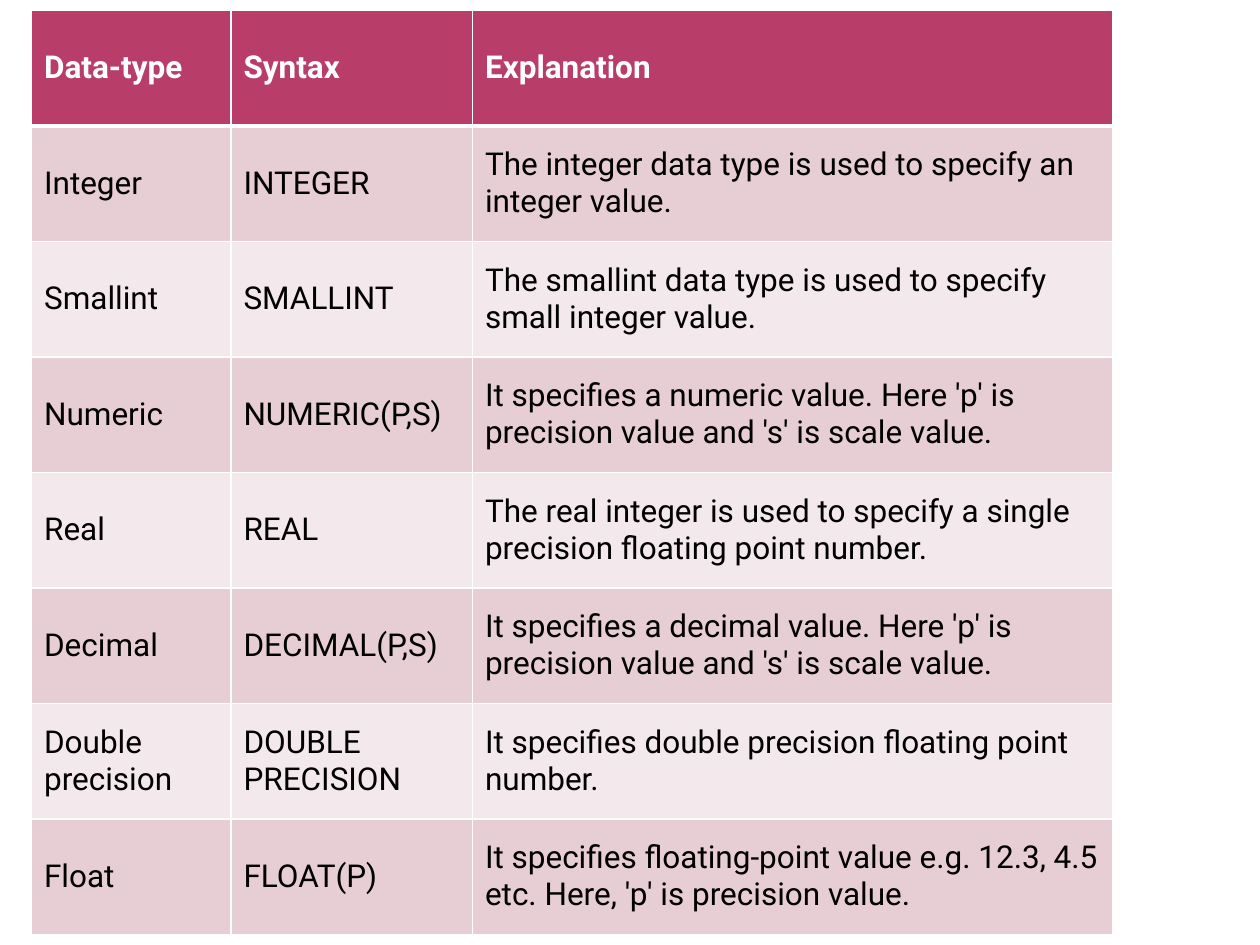
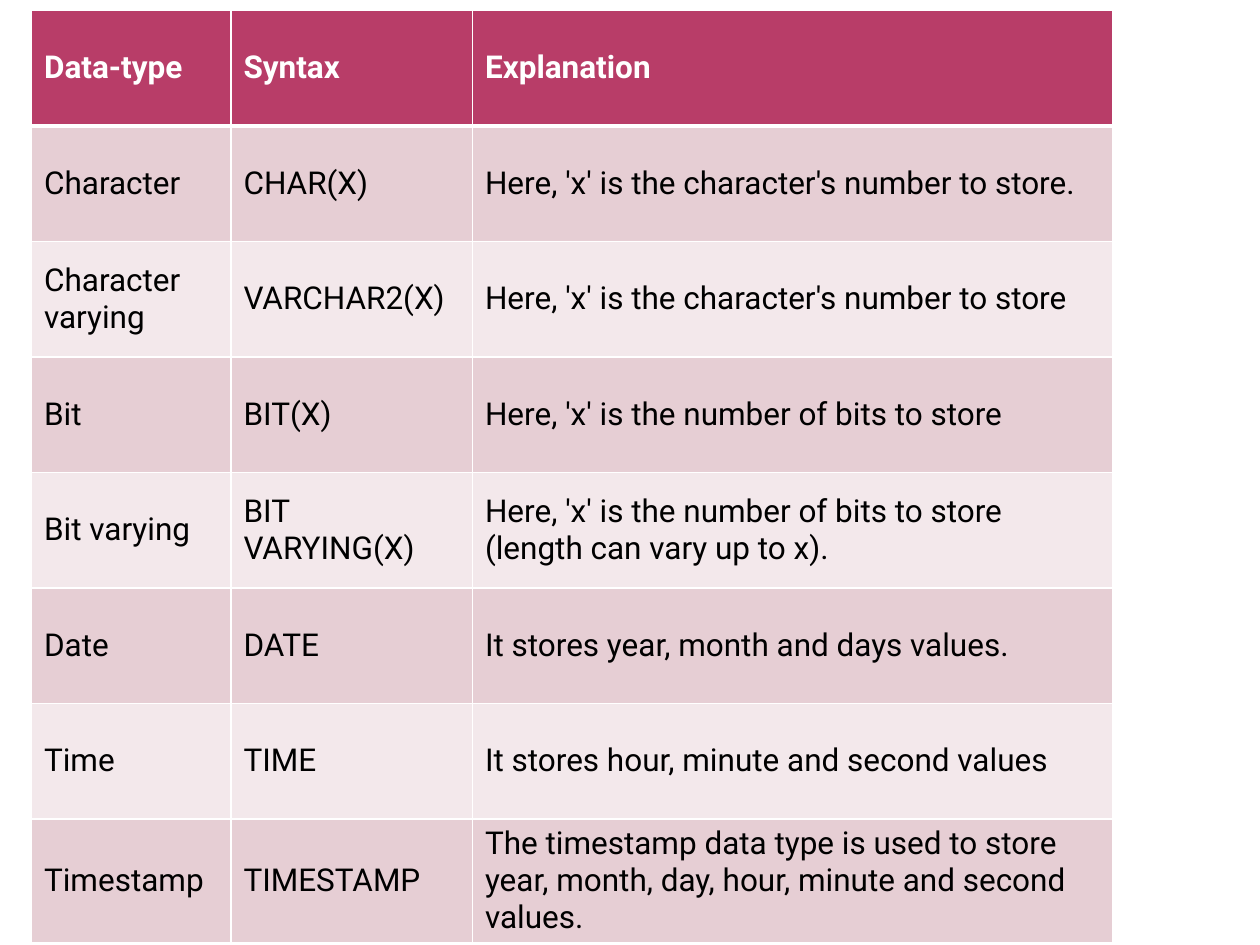
from lxml.etree import SubElement
from pptx import Presentation
from pptx.dml.color import RGBColor
from pptx.enum.text import MSO_ANCHOR as Anchor
from pptx.oxml.ns import qn
from pptx.util import Inches, Pt

WHITE = RGBColor(0xFF, 0xFF, 0xFF)
BLACK = RGBColor(0x00, 0x00, 0x00)
ROSE = RGBColor(0xB8, 0x3D, 0x68)
BLUSH = RGBColor(0xE6, 0xCE, 0xD4)
PALE = RGBColor(0xF3, 0xE8, 0xEB)

WIDTH, HEIGHT = Inches(10), Inches(7.5)
UNIT = WIDTH // 120  # square grid of 120 columns by 90 rows
LEFT, TOP = 3, 1
COLS = (19, 23, 61)
ROW = 11
THIN, THICK = Pt(1), Pt(3)

HEAD = ("Data-type", "Syntax", "Explanation")
NUMBERS = (
    ("Integer", "INTEGER",
     "The integer data type is used to specify an integer value."),
    ("Smallint", "SMALLINT",
     "The smallint data type is used to specify small integer value."),
    ("Numeric", "NUMERIC(P,S)",
     "It specifies a numeric value. Here 'p' is precision value and 's' is scale value."),
    ("Real", "REAL",
     "The real integer is used to specify a single precision floating point number."),
    ("Decimal", "DECIMAL(P,S)",
     "It specifies a decimal value. Here 'p' is precision value and 's' is scale value."),
    ("Double precision", "DOUBLE PRECISION",
     "It specifies double precision floating point number."),
    ("Float", "FLOAT(P)",
     "It specifies floating-point value e.g. 12.3, 4.5 etc. Here, 'p' is precision value."),
)
STRINGS = (
    ("Character", "CHAR(X)", "Here, 'x' is the character's number to store."),
    ("Character varying", "VARCHAR2(X)",
     "Here, 'x' is the character's number to store"),
    ("Bit", "BIT(X)", "Here, 'x' is the number of bits to store"),
    ("Bit varying", "BIT VARYING(X)",
     "Here, 'x' is the number of bits to store (length can vary up to x)."),
    ("Date", "DATE", "It stores year, month and days values."),
    ("Time", "TIME", "It stores hour, minute and second values"),
    ("Timestamp", "TIMESTAMP",
     "The timestamp data type is used to store year, month, day, hour, minute "
     "and second values."),
)


class Deck:
    font = {"name": "Roboto", "size": Pt(18)}

    def __init__(self):
        self.show = Presentation()
        self.show.slide_width, self.show.slide_height = WIDTH, HEIGHT
        self.slide = None

    def page(self):
        self.slide = self.show.slides.add_slide(self.show.slide_layouts[6])

    def table(self, rows):
        frame = self.slide.shapes.add_table(
            len(rows), len(COLS), LEFT * UNIT, TOP * UNIT,
            sum(COLS) * UNIT, len(rows) * ROW * UNIT)
        grid = frame.table
        for col, span in zip(grid.columns, COLS):
            col.width = span * UNIT
        for r, row in enumerate(rows):
            for c, text in enumerate(row):
                self.cell(grid.cell(r, c), text, r)

    def cell(self, cell, text, row):
        head = row == 0
        self.rule(cell, {"lnL": THIN, "lnR": THIN,
                         "lnT": THICK if row == 1 else THIN,
                         "lnB": THICK if head else THIN})
        cell.fill.solid()
        cell.fill.fore_color.rgb = ROSE if head else BLUSH if row % 2 else PALE
        cell.vertical_anchor = Anchor.MIDDLE
        cell.text = text
        font = cell.text_frame.paragraphs[0].runs[0].font
        for key, value in {**self.font, "bold": head}.items():
            setattr(font, key, value)
        font.color.rgb = WHITE if head else BLACK

    def rule(self, cell, sides):
        """Draw white cell borders; sides maps each tag to its width."""
        props = cell._tc.get_or_add_tcPr()
        for tag, width in sides.items():
            line = SubElement(props, qn("a:" + tag), w=str(width))
            fill = SubElement(line, qn("a:solidFill"))
            SubElement(fill, qn("a:srgbClr"), val=str(WHITE))


def main():
    deck = Deck()
    for types in (NUMBERS, STRINGS):
        deck.page()
        deck.table((HEAD, *types))
    deck.show.save("out.pptx")


if __name__ == "__main__":
    main()
